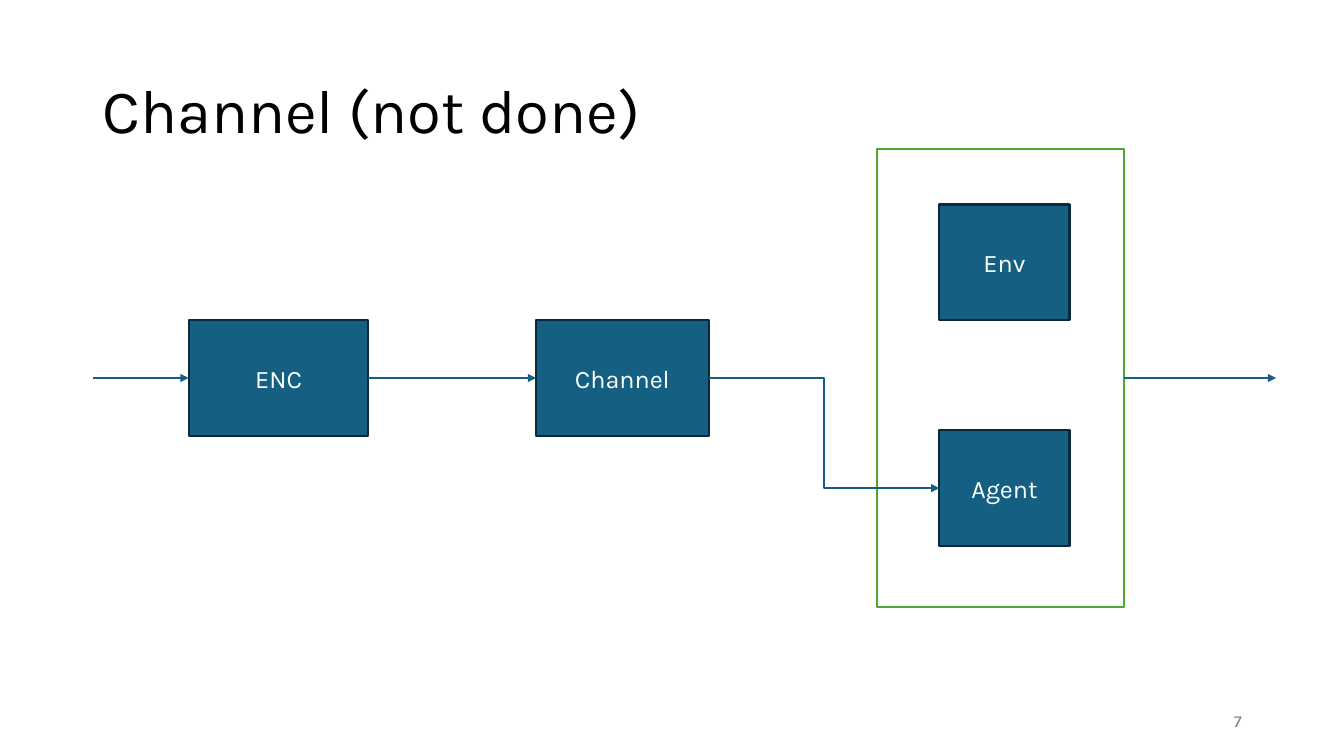
from lxml import etree
from pptx import Presentation
from pptx.dml.color import RGBColor
from pptx.enum import shapes, text
from pptx.oxml import ns
from pptx.util import Pt

COLORS = {"title": "000000", "block": "156082", "edge": "092A39",
          "frame": "4EA72E", "label": "FFFFFF", "number": "797979"}
FONT = "Karla"
LINE_W = 1.5
AXIS_Y = 270
BLOCK_H = 82.8
LEFT, RIGHT = 1, 3


def rgb(name):
    return RGBColor.from_string(COLORS[name])


def write(s, words, size, color, align):
    tf = s.text_frame
    tf.word_wrap = True
    tf.vertical_anchor = text.MSO_ANCHOR.MIDDLE
    tf.text = words
    p = tf.paragraphs[0]
    p.alignment = align
    r = p.runs[0]
    r.font.name, r.font.size = FONT, Pt(size)
    r.font.color.rgb = rgb(color)
    return p


def add_text(slide, box, words, size, color, align):
    s = slide.shapes.add_textbox(*map(Pt, box))
    return write(s, words, size, color, align)


def add_rect(slide, box, line, fill=None):
    s = slide.shapes.add_shape(shapes.MSO_SHAPE.RECTANGLE, *map(Pt, box))
    s.shadow.inherit = False
    if fill:
        s.fill.solid()
        s.fill.fore_color.rgb = rgb(fill)
    else:
        s.fill.background()
    s.line.color.rgb = rgb(line)
    s.line.width = Pt(LINE_W)
    return s


def add_block(slide, x, mid_y, w, label):
    """Place a labelled block centred vertically on mid_y."""
    s = add_rect(slide, (x, mid_y - BLOCK_H / 2, w, BLOCK_H), "edge", "block")
    write(s, label, 18, "label", text.PP_ALIGN.CENTER)
    return s


def add_arrow(slide, start=None, end=None, x1=0, x2=0,
              kind=shapes.MSO_CONNECTOR.STRAIGHT):
    """Run from start's right side to end's left side; x1 or x2 is a free end."""
    c = slide.shapes.add_connector(kind, Pt(x1), Pt(AXIS_Y), Pt(x2), Pt(AXIS_Y))
    if start is not None:
        c.begin_connect(start, RIGHT)
    if end is not None:
        c.end_connect(end, LEFT)
    c.line.color.rgb = rgb("block")
    c.line.width = Pt(LINE_W)
    ln = c.line._get_or_add_ln()
    etree.SubElement(ln, ns.qn("a:tailEnd"), type="triangle")
    etree.SubElement(c._element.spPr, ns.qn("a:effectLst"))


def add_diagram(slide, box):
    x, y, w, h = box
    enc = add_block(slide, x + 68, AXIS_Y, 128.4, "ENC")
    channel = add_block(slide, x + 316.2, AXIS_Y, 123.2, "Channel")
    frame = add_rect(slide, (x + 559.6, y, 176.4, h), "frame")
    env_y, agent_y = y + 81, y + 242.2
    add_block(slide, x + 604.2, env_y, 93, "Env")
    agent = add_block(slide, x + 604.2, agent_y, 93, "Agent")

    add_arrow(slide, end=enc, x1=x)
    add_arrow(slide, enc, channel)
    add_arrow(slide, channel, agent, kind=shapes.MSO_CONNECTOR.ELBOW)
    add_arrow(slide, frame, x2=x + w)


def main():
    prs = Presentation()
    prs.slide_width, prs.slide_height = Pt(960), Pt(540)
    slide = prs.slides.add_slide(prs.slide_layouts[6])
    title = add_text(slide, (66, 28.8, 828, 104.4), "Channel (not done)",
                     44, "title", text.PP_ALIGN.LEFT)
    title.line_spacing = 0.9
    add_diagram(slide, (66.8, 106.5, 844.8, 327))
    add_text(slide, (678, 500.4, 216, 28.8), "7",
             12, "number", text.PP_ALIGN.RIGHT)
    prs.save("out.pptx")


if __name__ == "__main__":
    main()
